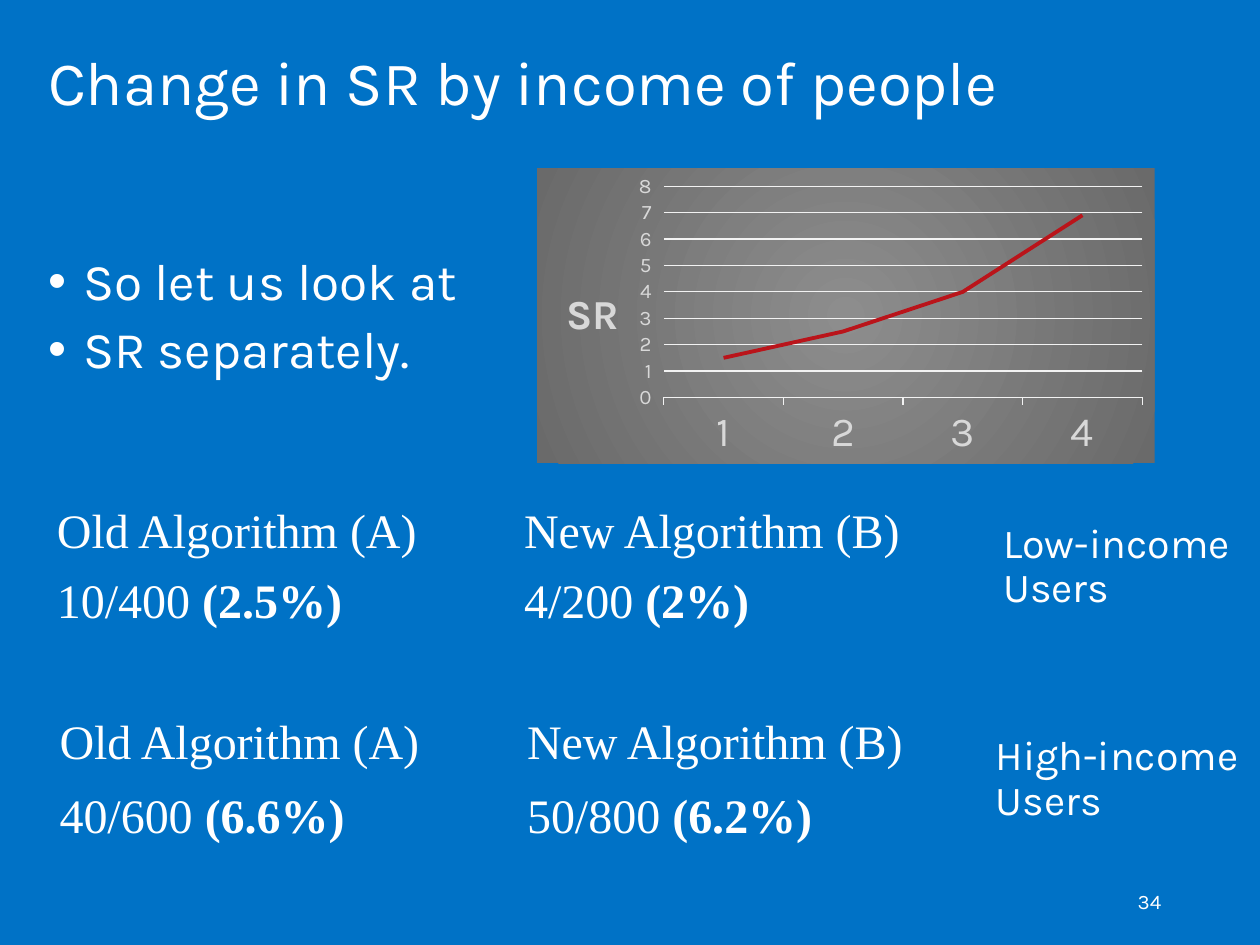
from dataclasses import dataclass

from lxml.etree import SubElement
from pptx import Presentation
from pptx.chart.data import CategoryChartData
from pptx.dml.color import RGBColor
from pptx.enum.chart import XL_CHART_TYPE, XL_TICK_MARK
from pptx.enum.text import MSO_ANCHOR, MSO_AUTO_SIZE, PP_ALIGN
from pptx.oxml import parse_xml
from pptx.oxml.ns import nsdecls, qn
from pptx.util import Pt


@dataclass(frozen=True)
class Theme:
    """Colours, fonts and type sizes of the slide."""
    background: str = "0072C6"
    text: str = "FFFFFF"
    axis_text: str = "D8D8D8"
    grid: str = "F2F2F2"
    series: str = "BA141A"
    chart_center: str = "8D8D8D"
    chart_edge: str = "6A6A6A"
    sans: str = "Karla"
    serif: str = "Times New Roman"
    title_size: float = 36
    body_size: float = 30
    table_size: float = 28
    label_size: float = 24
    small_size: float = 12


THEME = Theme()
PLAIN_TABLE = "{2D5ABB26-0587-4C30-8999-92F81FD0307C}"


def style_font(font, size, color=THEME.text, name=THEME.sans, bold=False):
    """Set size, colour, typeface and weight of a font."""
    font.size, font.name, font.bold = Pt(size), name, bold
    font.color.rgb = RGBColor.from_string(color)


def add_span(para, text, **style):
    """Add a formatted run to a paragraph."""
    span = para.add_run()
    span.text = text
    style_font(span.font, **style)
    return span


def place(shape, box):
    """Move a shape to a box of left, top, width and height."""
    shape.left, shape.top, shape.width, shape.height = map(Pt, box)


def prepare_frame(shape, insets, anchor=MSO_ANCHOR.TOP):
    """Set wrapping, insets and anchor, and return the text frame."""
    frame = shape.text_frame
    frame.word_wrap = True
    frame.auto_size = MSO_AUTO_SIZE.NONE
    frame.vertical_anchor = anchor
    (frame.margin_left, frame.margin_top,
     frame.margin_right, frame.margin_bottom) = map(Pt, insets)
    return frame


def fill_title(page, box, text):
    """Place and fill the title placeholder."""
    title = page.shapes.title
    place(title, box)
    para = prepare_frame(title, (11.5, 7.2, 11.5, 7.2)).paragraphs[0]
    para.alignment = PP_ALIGN.LEFT
    para.line_spacing = 0.9
    add_span(para, text, size=THEME.title_size)


def fill_bullets(page, box, items):
    """Place and fill the body placeholder with bullets."""
    body = page.placeholders[1]
    place(body, box)
    frame = prepare_frame(body, (11.5, 53, 11.5, 7.2))
    for index, item in enumerate(items):
        para = frame.add_paragraph() if index else frame.paragraphs[0]
        para.line_spacing = 0.9
        para.space_before = Pt(7.2 if index else 0)
        properties = para._p.get_or_add_pPr()
        properties.set("marL", str(Pt(20.5)))
        properties.set("indent", str(-Pt(20.5)))
        SubElement(properties, qn("a:buFont"), typeface="Arial")
        SubElement(properties, qn("a:buChar"), char="•")
        add_span(para, item, size=THEME.body_size)


def add_label(page, box, text, size, insets, anchor=MSO_ANCHOR.TOP,
              align=PP_ALIGN.LEFT, spacing=1.0):
    """Add a text box with one paragraph."""
    label = page.shapes.add_textbox(*map(Pt, box))
    para = prepare_frame(label, insets, anchor).paragraphs[0]
    para.alignment = align
    para.line_spacing = spacing
    add_span(para, text, size=size)


def add_comparison(page, box, results, inset, header_height):
    """Add the table of old and new algorithm results."""
    frame = page.shapes.add_table(2, 2, *map(Pt, box))
    frame.element.xpath(".//a:tableStyleId")[0].text = PLAIN_TABLE
    table = frame.table
    table.first_row = table.horz_banding = False
    table.rows[0].height = Pt(header_height)
    table.rows[1].height = Pt(box[3] - header_height)
    headings = ("Old Algorithm (A)", "New Algorithm (B)")
    for column, (heading, (count, rate)) in enumerate(zip(headings, results)):
        rows = ([(heading, False)], [(count + " ", False), (rate, True)])
        for row, spans in enumerate(rows):
            cell = table.cell(row, column)
            cell.fill.background()
            cell.margin_left = cell.margin_top = Pt(inset)
            cell.margin_right, cell.margin_bottom = Pt(4), 0
            for text, bold in spans:
                add_span(cell.text_frame.paragraphs[0], text, bold=bold,
                         size=THEME.table_size, name=THEME.serif)


def style_line(line, color, width):
    """Give a line a solid colour and a width."""
    line.color.rgb = RGBColor.from_string(color)
    line.width = Pt(width)


def fill_chart_area(chart):
    """Give the chart area a radial gradient."""
    stops = "".join(
        f'<a:gs pos="{position}"><a:srgbClr val="{color}"/></a:gs>'
        for position, color in ((0, THEME.chart_center), (100000, THEME.chart_edge)))
    area = parse_xml(
        f'<c:spPr {nsdecls("c", "a")}><a:gradFill><a:gsLst>{stops}</a:gsLst>'
        '<a:path path="circle"><a:fillToRect l="50000" t="50000" r="50000" b="50000"/>'
        '</a:path></a:gradFill><a:ln><a:noFill/></a:ln></c:spPr>')
    chart.element.find(qn("c:chart")).addnext(area)


def add_rate_chart(page, box):
    """Add the line chart of SR by income group."""
    data = CategoryChartData()
    data.categories = ["1", "2", "3", "4"]
    data.add_series("Series 1", (1.5, 2.5, 4, 6.9))
    chart = page.shapes.add_chart(XL_CHART_TYPE.LINE, *map(Pt, box), data).chart
    chart.has_legend = chart.has_title = False
    style_font(chart.font, 10, THEME.axis_text)
    fill_chart_area(chart)

    categories, values = chart.category_axis, chart.value_axis
    style_font(categories.tick_labels.font, THEME.label_size, THEME.axis_text)
    categories.major_tick_mark = XL_TICK_MARK.OUTSIDE
    style_line(categories.format.line, THEME.grid, 0.75)

    style_font(values.tick_labels.font, THEME.small_size, THEME.axis_text)
    values.minimum_scale, values.maximum_scale, values.major_unit = 0, 8, 1
    values.major_tick_mark = XL_TICK_MARK.OUTSIDE
    values.format.line.fill.background()
    style_line(values.major_gridlines.format.line, THEME.grid, 0.75)
    add_span(values.axis_title.text_frame.paragraphs[0], "SR", bold=True,
             size=THEME.label_size, color=THEME.axis_text)
    rotation = chart.element.xpath(".//c:valAx/c:title//a:bodyPr")[0]
    rotation.set("rot", "0")
    rotation.set("vert", "horz")

    plot = chart.plots[0]
    plot.vary_by_categories = False
    series = plot.series[0]
    series.smooth = False
    style_line(series.format.line, THEME.series, 2.25)


def build_income_slide(deck):
    """Build the slide on change in SR by income."""
    page = deck.slides.add_slide(deck.slide_layouts[1])
    page.background.fill.solid()
    page.background.fill.fore_color.rgb = RGBColor.from_string(THEME.background)
    fill_bullets(page, (16.5, 96, 322.5, 127.5), ("So let us look at", "SR separately."))
    fill_title(page, (16.5, 23, 702, 72), "Change in SR by income of people")
    add_label(page, (518.5, 510.5, 165.5, 29.5), "34", THEME.small_size,
              (7.2, 3.6, 7.2, 3.6), MSO_ANCHOR.MIDDLE, PP_ALIGN.RIGHT)
    add_comparison(page, (25.2, 286.5, 544.5, 87),
                   (("10/400", "(2.5%)"), ("4/200", "(2%)")), 8, 41)
    add_comparison(page, (25.2, 408.2, 545, 89.5),
                   (("40/600", "(6.6%)"), ("50/800", "(6.2%)")), 9.5, 43)
    for text, box in (("Low-income Users", (574, 296, 157.5, 70)),
                      ("High-income Users", (569.5, 419.8, 165, 70))):
        add_label(page, box, text, THEME.label_size, (10.8, 8.6, 10.8, 8.6), spacing=0.9)
    add_rate_chart(page, (313, 98, 360, 172))


def main():
    """Create and save the deck."""
    deck = Presentation()
    deck.slide_width, deck.slide_height = Pt(734.4), Pt(550.8)
    build_income_slide(deck)
    deck.save("out.pptx")


if __name__ == "__main__":
    main()
